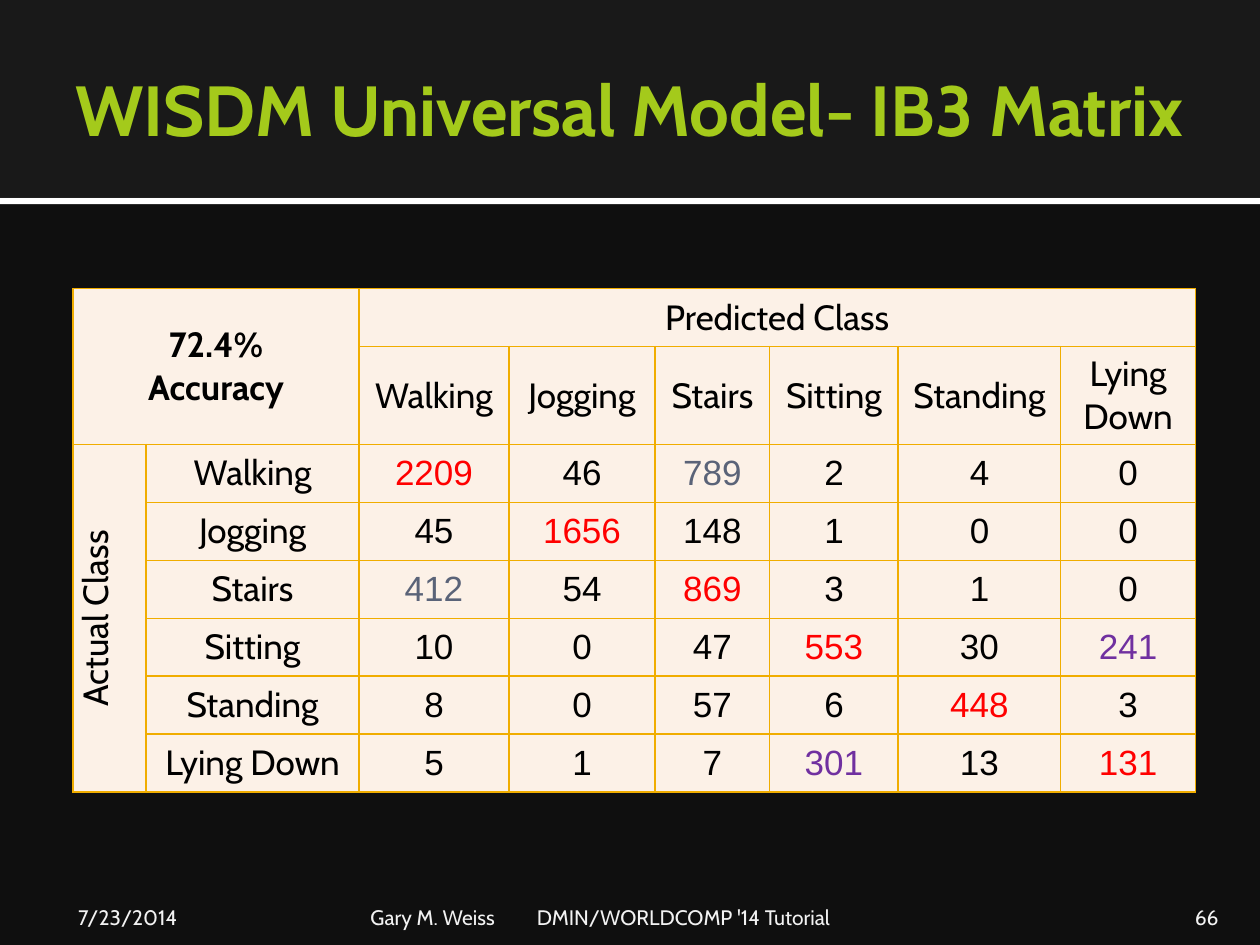
from lxml.etree import SubElement
from pptx import Presentation
from pptx.dml.color import RGBColor
from pptx.enum.shapes import MSO_SHAPE as Shape
from pptx.enum.text import MSO_ANCHOR as Anchor, MSO_AUTO_SIZE as AutoSize, PP_ALIGN as Align
from pptx.oxml.ns import qn
from pptx.util import Inches, Pt

WIDTH, HEIGHT = 10, 7.5
BLACK, WHITE, PANEL, BACKDROP = "000000", "FFFFFF", "191919", "0F0F0F"
LIME, PALE, CREAM, GOLD = "A4CA1B", "F2F2F2", "FCF1E7", "F0AD00"
RED, SLATE, PURPLE = "FF0000", "5A6378", "7030A0"

CLASSES = ["Walking", "Jogging", "Stairs", "Sitting", "Standing", "Lying Down"]
COUNTS = [
    [2209, 46, 789, 2, 4, 0],
    [45, 1656, 148, 1, 0, 0],
    [412, 54, 869, 3, 1, 0],
    [10, 0, 47, 553, 30, 241],
    [8, 0, 57, 6, 448, 3],
    [5, 1, 7, 301, 13, 131],
]
# Pairs of classes that are often confused with each other
CONFUSED = {(0, 2): SLATE, (2, 0): SLATE, (3, 5): PURPLE, (5, 3): PURPLE}
COLUMN_WIDTHS = [0.58, 1.69, 1.19, 1.16, 0.91, 1.02, 1.29, 1.07]
ROW_HEIGHTS = [0.46, 0.77] + [0.46] * len(CLASSES)


def color(value):
    return RGBColor.from_string(value)


def write(frame, text, size=20, font="Cabin", fill=BLACK, bold=False, align=Align.LEFT):
    """Put one formatted paragraph into a text frame."""
    paragraph = frame.paragraphs[0]
    paragraph.text = text
    paragraph.alignment = align
    for run in paragraph.runs:
        run.font.size = Pt(size)
        run.font.name = font
        run.font.bold = bold
        run.font.color.rgb = color(fill)
    return paragraph


def set_margins(target, left, top, right, bottom):
    target.margin_left, target.margin_top = Inches(left), Inches(top)
    target.margin_right, target.margin_bottom = Inches(right), Inches(bottom)


def add_band(slide, box, fill):
    band = slide.shapes.add_shape(Shape.RECTANGLE, *map(Inches, box))
    band.shadow.inherit = False
    band.fill.solid()
    band.fill.fore_color.rgb = color(fill)
    band.line.fill.background()
    # Bands lie behind the title
    slide.shapes._spTree.insert(2, band._element)


def add_header(slide, box):
    left, top, width, height = box
    add_band(slide, box, PANEL)
    add_band(slide, (left, top + height, width, 0.05), WHITE)
    title = slide.shapes.title
    title.left, title.width = Inches(left + 0.05 * width), Inches(0.9 * width)
    title.top, title.height = Inches(top + 0.17), Inches(height - 0.2)
    frame = title.text_frame
    frame.auto_size = AutoSize.NONE
    frame.word_wrap = True
    frame.vertical_anchor = Anchor.MIDDLE
    set_margins(frame, 0.1, 0.05, 0.05, 0.05)
    write(frame, "WISDM Universal Model- IB3 Matrix", size=40.5, fill=LIME, bold=True)


def style_cell(cell):
    properties = cell._tc.get_or_add_tcPr()
    for side in ("a:lnL", "a:lnR", "a:lnT", "a:lnB"):
        line = SubElement(properties, qn(side), w=str(Pt(1)))
        SubElement(SubElement(line, qn("a:solidFill")), qn("a:srgbClr"), val=GOLD)
    cell.fill.solid()
    cell.fill.fore_color.rgb = color(CREAM)
    cell.vertical_anchor = Anchor.MIDDLE


def add_matrix(slide, left, top):
    rows, columns = len(ROW_HEIGHTS), len(COLUMN_WIDTHS)
    box = (left, top, sum(COLUMN_WIDTHS), sum(ROW_HEIGHTS))
    table = slide.shapes.add_table(rows, columns, *map(Inches, box)).table
    table.first_row = table.horz_banding = False
    for column, width in zip(table.columns, COLUMN_WIDTHS):
        column.width = Inches(width)
    for row, height in zip(table.rows, ROW_HEIGHTS):
        row.height = Inches(height)
    for cell in table.iter_cells():
        style_cell(cell)

    def fill_cell(row, column, text, **style):
        write(table.cell(row, column).text_frame, text, align=Align.CENTER, **style)

    # Merged headings
    for first, last in (((0, 0), (1, 1)), ((0, 2), (0, 7)), ((2, 0), (7, 0))):
        table.cell(*first).merge(table.cell(*last))
    fill_cell(0, 0, "72.4%\nAccuracy", bold=True)
    fill_cell(0, 2, "Predicted Class")
    fill_cell(2, 0, "Actual Class")
    side_heading = table.cell(2, 0)
    set_margins(side_heading, 0.01, 0.01, 0.01, 0)
    side_heading._tc.get_or_add_tcPr().set("vert", "vert270")

    # Class names and counts
    for i, name in enumerate(CLASSES):
        fill_cell(1, i + 2, name.replace(" ", "\n"))
        fill_cell(i + 2, 1, name)
        for j, count in enumerate(COUNTS[i]):
            shade = RED if i == j else CONFUSED.get((i, j), BLACK)
            fill_cell(i + 2, j + 2, str(count), font="Arial", fill=shade)


def add_footer(slide, top, height):
    parts = [
        (0.5, 2.33, 0.12, 0.05, "7/23/2014", Align.LEFT),
        (2.89, 6.02, 0.05, 0.05, "Gary M. Weiss\tDMIN/WORLDCOMP '14 Tutorial", Align.LEFT),
        (8.97, 0.8, 0.1, 0.1, "66", Align.RIGHT),
    ]
    for left, width, inset_left, inset_right, text, align in parts:
        frame = slide.shapes.add_textbox(*map(Inches, (left, top, width, height))).text_frame
        frame.word_wrap = True
        frame.vertical_anchor = Anchor.BOTTOM
        set_margins(frame, inset_left, 0.05, inset_right, 0)
        paragraph = write(frame, text, size=12, fill=PALE, align=align)
        if "\t" in text:
            stops = SubElement(paragraph._p.get_or_add_pPr(), qn("a:tabLst"))
            SubElement(stops, qn("a:tab"), pos=str(Inches(1.32)), algn="l")


def main():
    presentation = Presentation()
    presentation.slide_width, presentation.slide_height = Inches(WIDTH), Inches(HEIGHT)
    slide = presentation.slides.add_slide(presentation.slide_layouts[5])
    slide.background.fill.solid()
    slide.background.fill.fore_color.rgb = color(BACKDROP)
    add_header(slide, (0, 0, WIDTH, 1.57))
    add_matrix(slide, 0.58, 2.29)
    add_footer(slide, 7.08, 0.3)
    presentation.save("out.pptx")


if __name__ == "__main__":
    main()
